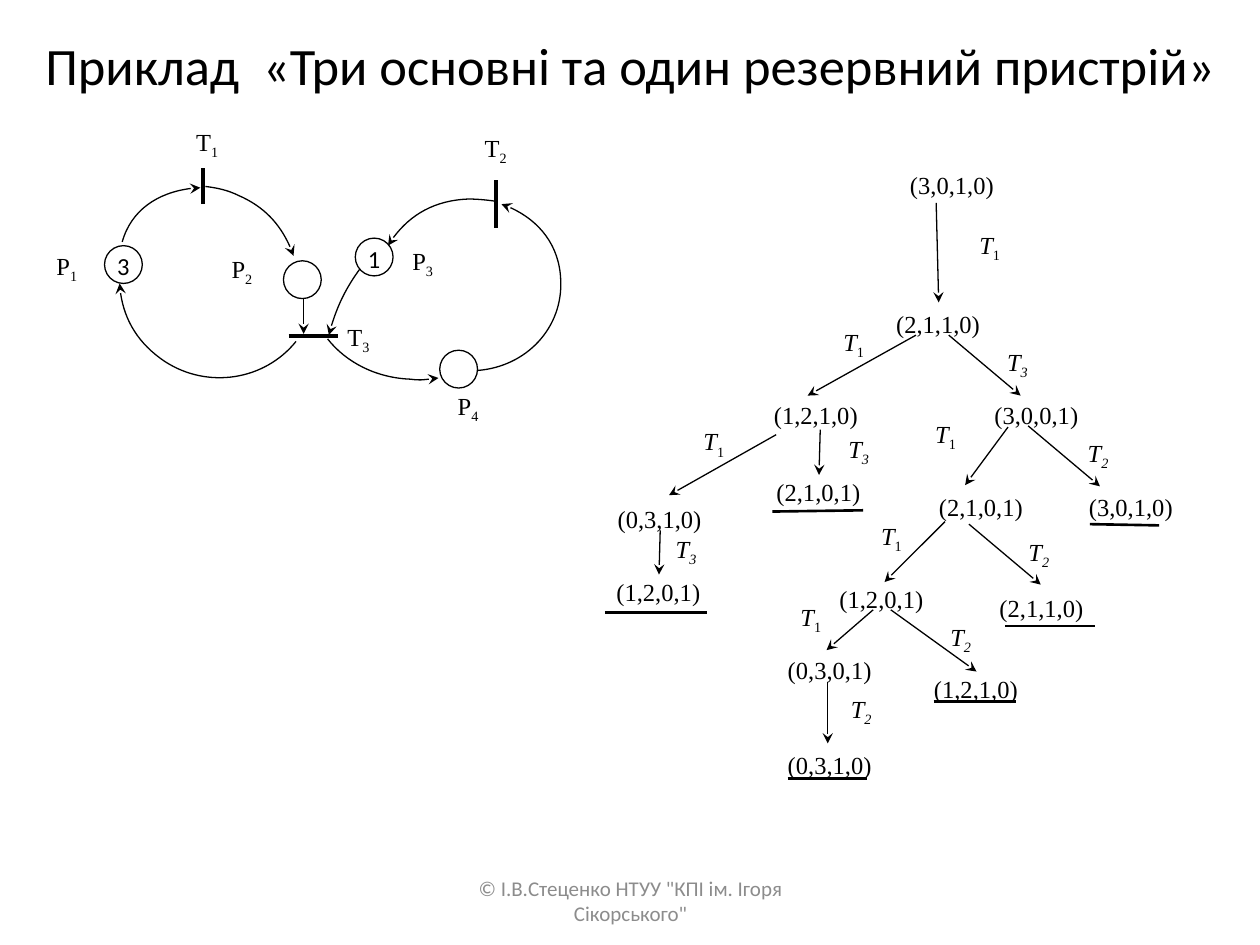
import pptx
import pptx.util
import pptx.dml.color
import pptx.enum.shapes
import pptx.enum.text
import pptx.oxml
import pptx.oxml.ns

INK, PAPER, GREY = "000000", "FFFFFF", "8C8C8C"
SERIF, SANS = "Times New Roman", "Calibri"
CELL = 0.1  # grid cell of both diagrams, in inches
SHAPES = pptx.enum.shapes.MSO_SHAPE
CENTER = pptx.enum.text.PP_ALIGN.CENTER
MIDDLE = pptx.enum.text.MSO_ANCHOR.MIDDLE


def color(value):
    return pptx.dml.color.RGBColor.from_string(value)


def inches(*lengths):
    return [pptx.util.Inches(length) for length in lengths]


def place(box, column, row):
    """Turn a grid position in a box (left, top) into slide lengths."""
    return inches(box[0] + column * CELL, box[1] + row * CELL)


def add_run(paragraph, text, size, font, ink=INK, italic=False, subscript=False):
    run = paragraph.add_run()
    run.text = text
    run.font.size = pptx.util.Pt(size)
    run.font.name = font
    run.font.italic = italic
    run.font.color.rgb = color(ink)
    if subscript:
        run.font._element.set("baseline", "-25000")


def add_node(slide, box, kind, cells, outline):
    """Add a white shape; cells holds column, row, width and height."""
    column, row, width, height = cells
    shape = slide.shapes.add_shape(
        kind, *place(box, column, row), *inches(width * CELL, height * CELL))
    shape.shadow.inherit = False
    shape.fill.solid()
    shape.fill.fore_color.rgb = color(PAPER)
    shape.line.color.rgb = color(outline)
    shape.line.width = pptx.util.Pt(0.75)
    frame = shape.text_frame
    frame.word_wrap = True
    frame.vertical_anchor = pptx.enum.text.MSO_ANCHOR.TOP
    frame.margin_left = frame.margin_right = frame.margin_top = frame.margin_bottom = 0
    paragraph = frame.paragraphs[0]
    paragraph.alignment = CENTER
    return paragraph


def add_label(slide, box, cells, text, index="", italic=False, italic_index=False):
    paragraph = add_node(slide, box, SHAPES.RECTANGLE, cells, PAPER)
    paragraph.line_spacing = pptx.util.Pt(18)
    add_run(paragraph, text, 14, SERIF, italic=italic)
    if index:
        add_run(paragraph, index, 14, SERIF, italic=italic_index, subscript=True)


def set_stroke(shape, width, arrow):
    shape.line.color.rgb = color(INK)
    shape.line.width = pptx.util.Pt(width)
    if arrow:
        tail = pptx.oxml.parse_xml(
            f'<a:tailEnd {pptx.oxml.ns.nsdecls("a")} type="stealth"/>')
        shape.line._get_or_add_ln().append(tail)


def add_line(slide, box, start, end, width=0.75, arrow=False):
    connector = slide.shapes.add_connector(
        pptx.enum.shapes.MSO_CONNECTOR.STRAIGHT, *place(box, *start), *place(box, *end))
    set_stroke(connector, width, arrow)
    connector._element.spPr.append(
        pptx.oxml.parse_xml(f'<a:effectLst {pptx.oxml.ns.nsdecls("a")}/>'))


def add_curved_arrow(slide, box, points):
    """Draw a Bezier chain: a start, then three points for each piece."""
    start, *rest = [place(box, *point) for point in points]
    builder = slide.shapes.build_freeform(*start)
    builder.add_line_segments(rest, close=False)
    shape = builder.convert_to_shape()
    # Each three straight steps become one cubic piece
    steps = list(shape._element.iter(pptx.oxml.ns.qn("a:lnTo")))
    for first in range(0, len(steps), 3):
        curve = pptx.oxml.parse_xml(f'<a:cubicBezTo {pptx.oxml.ns.nsdecls("a")}/>')
        steps[first].addprevious(curve)
        for step in steps[first:first + 3]:
            curve.append(step[0])
            step.getparent().remove(step)
    shape.shadow.inherit = False
    shape.fill.background()
    set_stroke(shape, 0.75, True)


def add_title(slide, box):
    title = slide.shapes.title
    title.left, title.top, title.width, title.height = inches(*box)
    title.text_frame.word_wrap = True
    title.text_frame.vertical_anchor = MIDDLE
    paragraph = title.text_frame.paragraphs[0]
    paragraph.alignment = CENTER
    add_run(paragraph, "Приклад  «Три основні та один резервний пристрій»", 30, SANS)


def add_petri_net(slide, box):
    # Names of places and transitions
    for name, index, cells in [
        ("T", "1", (14.3, 0.2, 4.3, 3.1)), ("T", "2", (37.5, 0.7, 3.7, 3.3)),
        ("T", "3", (26.2, 15.7, 4.5, 2.7)), ("P", "1", (2.9, 10.1, 4.8, 3.1)),
        ("P", "2", (16.3, 10.3, 5.8, 3.1)), ("P", "3", (31.4, 9.7, 4.3, 3.3)),
        ("P", "4", (34.6, 21.2, 5.1, 3.1)),
    ]:
        add_label(slide, box, cells, name, index)
    # Transition bars
    for start, end in [((16.1, 6.2), (16.1, 3.3)), ((39.4, 4.3), (39.4, 8.1)),
                       ((22.9, 16.7), (26.8, 16.7))]:
        add_line(slide, box, start, end, 2.25)
    # Arcs
    for points in [
        [(37.9, 19.4), (41.8, 19.1), (44.7, 16), (44.5, 12.2),
         (44.4, 9.5), (42.5, 7.1), (39.8, 6.2)],
        [(39.5, 6), (38.8, 5.9), (38, 5.8), (37.2, 5.8),
         (34.5, 5.9), (32.1, 7.3), (30.8, 9.5)],
        [(28.6, 11.3), (27.5, 12.8), (26.6, 14.6), (26.1, 16.6)],
        [(16.3, 4.8), (17.2, 4.9), (18.1, 5.1), (18.9, 5.5),
         (21, 6.4), (22.6, 8.2), (23.3, 10.3)],
        [(26, 16.9), (27.5, 18.8), (29.9, 20), (32.6, 20.1),
         (33.3, 20.2), (34.1, 20.1), (34.8, 20)],
        [(23.5, 17.1), (21, 20.2), (16.5, 20.9), (13.1, 18.7),
         (11, 17.3), (9.6, 15), (9.5, 12.5)],
        [(9.7, 9.2), (10.4, 6.7), (12.9, 5), (15.9, 4.9)],
    ]:
        add_curved_arrow(slide, box, points)
    add_line(slide, box, (24.1, 13.6), (24.1, 16.5), arrow=True)
    # Places with their tokens
    for tokens, column, row in [("3", 8.3, 9.5), ("", 22.5, 10.7),
                                ("1", 28.2, 8.9), ("", 34.9, 17.8)]:
        paragraph = add_node(slide, box, SHAPES.OVAL, (column, row, 3, 3), INK)
        if tokens:
            add_run(paragraph, tokens, 14, SANS)


def add_reachability_tree(slide, box):
    # Transition on each edge: index, label position, arrow start and end
    edges = [
        ("1", (36.7, 8.4), (34.3, 6.1), (34.5, 14)),
        ("1", (25.9, 16.1), (32.7, 16.6), (24.1, 21.4)),
        ("3", (38.9, 17.7), (35.3, 16.6), (41, 21.4)),
        ("1", (14.8, 24), (21.6, 24.5), (13.1, 29.3)),
        ("3", (26.3, 24.6), (25.1, 24.1), (25, 27.7)),
        ("1", (33.2, 23.4), (40, 23.9), (36.6, 28.5)),
        ("2", (45.3, 24.9), (41.6, 23.8), (47.3, 28.6)),
        ("3", (12.6, 32.5), (12.4, 32.1), (12.3, 35.6)),
        ("1", (28.9, 31.5), (35, 31.4), (30.2, 36.2)),
        ("2", (40.6, 32.8), (36.9, 31.6), (42.6, 36.4)),
        ("1", (22.5, 37.9), (29.3, 38.4), (25.6, 41.6)),
        ("2", (34.4, 39.5), (30.7, 38.4), (37.5, 43.3)),
        ("2", (26.5, 45.2), (25.7, 44.1), (25.7, 49)),
    ]
    for index, corner, _, _ in edges:
        add_label(slide, box, (*corner, 3.7, 2.9), "Т", index, True, index != "1")
    # Markings
    for marking, column, row in [
        ("(3,0,1,0)", 31.3, 3.3), ("(2,1,1,0)", 30.2, 14.4),
        ("(1,2,1,0)", 20.5, 21.6), ("(3,0,0,1)", 38, 21.6),
        ("(0,3,1,0)", 8.1, 29.8), ("(2,1,0,1)", 20.7, 27.7),
        ("(2,1,0,1)", 33.6, 28.9), ("(3,0,1,0)", 45.5, 28.9),
        ("(1,2,0,1)", 8, 35.6), ("(1,2,0,1)", 25.7, 36.2),
        ("(2,1,1,0)", 38.4, 36.9), ("(0,3,0,1)", 21.6, 41.8),
        ("(1,2,1,0)", 33.2, 43.3), ("(0,3,1,0)", 21.6, 49.4),
    ]:
        add_label(slide, box, (column, row, 8.5, 2.3), marking)
    for _, _, start, end in edges:
        add_line(slide, box, start, end, arrow=True)
    # Underlines of repeated markings
    for start, end in [
        ((21.3, 30.6), (28.5, 30.5)), ((46.5, 31.6), (52, 31.7)),
        ((39.8, 39.7), (46.9, 39.7)), ((8, 38.6), (16.1, 38.6)),
        ((34.1, 45.7), (40.6, 45.7)), ((22.5, 51.8), (28.8, 51.8)),
    ]:
        add_line(slide, box, start, end, 1.5)


def add_footer(slide, box):
    frame = slide.shapes.add_textbox(*inches(*box)).text_frame
    frame.word_wrap = True
    frame.vertical_anchor = MIDDLE
    paragraph = frame.paragraphs[0]
    paragraph.alignment = CENTER
    add_run(paragraph, '© І.В.Стеценко НТУУ "КПІ ім. Ігоря Сікорського"', 12, SANS, GREY)


def main():
    presentation = pptx.Presentation()
    presentation.slide_width, presentation.slide_height = inches(10, 7.5)
    slide = presentation.slides.add_slide(presentation.slide_layouts[5])
    add_title(slide, (0.13, 0.2, 9.75, 0.62))
    add_petri_net(slide, (0, 1))
    add_reachability_tree(slide, (4, 1))
    add_footer(slide, (3.42, 6.95, 3.17, 0.4))
    presentation.save("out.pptx")


if __name__ == "__main__":
    main()
